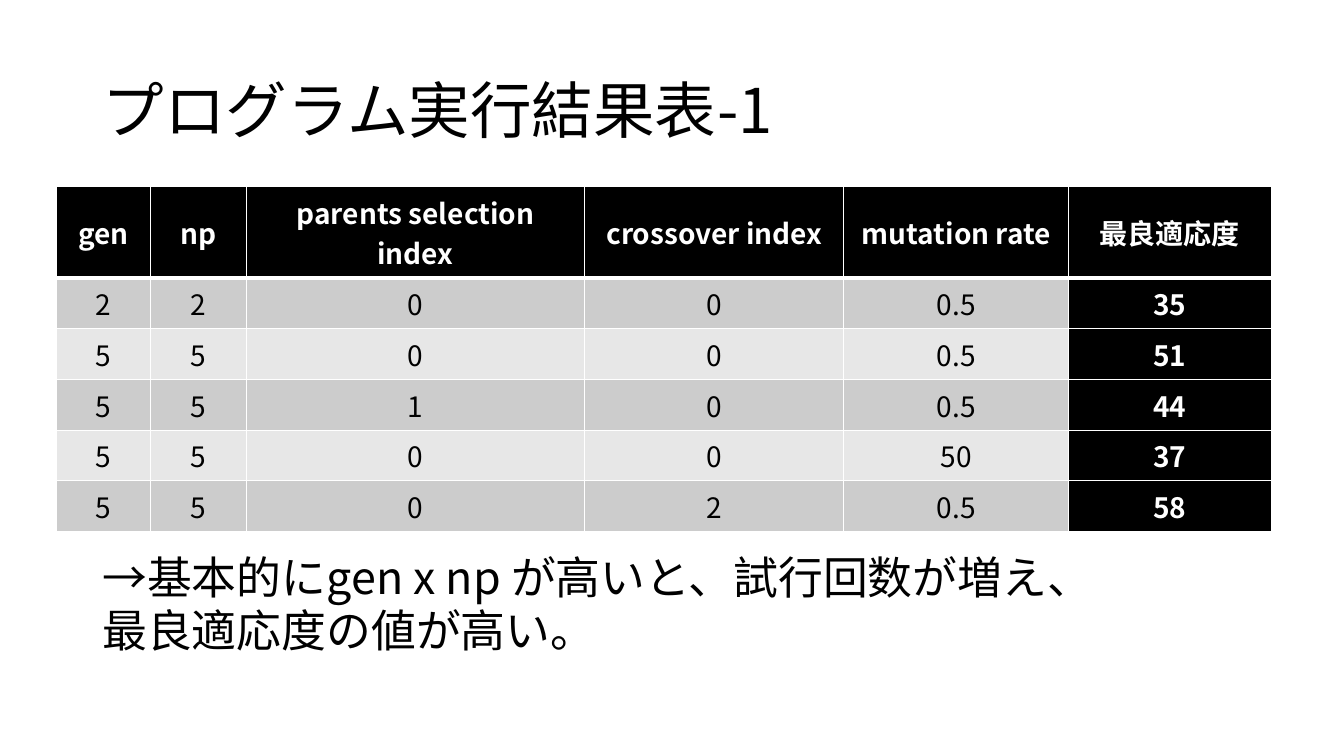
from lxml.etree import SubElement
from pptx import Presentation
from pptx.dml.color import RGBColor
from pptx.enum.text import MSO_ANCHOR, MSO_AUTO_SIZE, PP_ALIGN
from pptx.oxml.ns import qn
from pptx.util import Pt

# Content
TITLE = "プログラム実行結果表-1"
HEADER = ["gen", "np", "parents selection index", "crossover index",
          "mutation rate", "最良適応度"]
RESULTS = [
    ("2", "2", "0", "0", "0.5", "35"),
    ("5", "5", "0", "0", "0.5", "51"),
    ("5", "5", "1", "0", "0.5", "44"),
    ("5", "5", "0", "0", "50", "37"),
    ("5", "5", "0", "2", "0.5", "58"),
]
FINDING = "→基本的にgen x np が高いと、試行回数が増え、最良適応度の値が高い。"

# Style
FONT = "Noto Sans CJK JP"
COLORS = {"black": "000000", "white": "FFFFFF", "odd": "CCCCCC", "even": "E7E7E7"}
COL_WIDTHS = [66.96, 68.4, 241.92, 185.04, 160.56, 144.72]
HEAD_H, ROW_H = 51.84, 36


def rgb(name):
    return RGBColor.from_string(COLORS[name])


def add_run(p, text, size, color="black", bold=False):
    r = p.add_run()
    r.text = text
    r.font.size, r.font.bold = Pt(size), bold
    r.font.color.rgb = rgb(color)
    r.font.name = FONT
    SubElement(r.font._element, qn("a:ea"), typeface=FONT)


def add_borders(cell, top, bottom):
    tcPr = cell._tc.get_or_add_tcPr()
    for side, width in (("L", 1), ("R", 1), ("T", top), ("B", bottom)):
        ln = SubElement(tcPr, qn(f"a:ln{side}"), w=str(Pt(width)))
        fill = SubElement(ln, qn("a:solidFill"))
        SubElement(fill, qn("a:srgbClr"), val=COLORS["white"])


prs = Presentation()
prs.slide_width, prs.slide_height = Pt(960), Pt(540)
s = prs.slides.add_slide(prs.slide_layouts[5])

# Title
title = s.shapes.title
title.left, title.top, title.width, title.height = Pt(66), Pt(28.75), Pt(828), Pt(104.4)
tf = title.text_frame
tf.vertical_anchor = MSO_ANCHOR.MIDDLE
tf.auto_size = MSO_AUTO_SIZE.NONE
p = tf.paragraphs[0]
p.alignment, p.line_spacing = PP_ALIGN.LEFT, 0.9
add_run(p, TITLE, 44)

# Results table: header row and best-fitness column are black
rows = [HEADER, *RESULTS]
table = s.shapes.add_table(len(rows), len(HEADER), Pt(40.5), Pt(133.2),
                           Pt(sum(COL_WIDTHS)),
                           Pt(HEAD_H + ROW_H * len(RESULTS))).table
for col, width in zip(table.columns, COL_WIDTHS):
    col.width = Pt(width)
for i, values in enumerate(rows):
    table.rows[i].height = Pt(ROW_H if i else HEAD_H)
    for j, value in enumerate(values):
        cell = table.cell(i, j)
        strong = i == 0 or j == len(HEADER) - 1
        add_borders(cell, top=3 if i == 1 else 1, bottom=3 if i == 0 else 1)
        cell.fill.solid()
        cell.fill.fore_color.rgb = rgb("black" if strong else "odd" if i % 2 else "even")
        cell.vertical_anchor = MSO_ANCHOR.MIDDLE
        p = cell.text_frame.paragraphs[0]
        p.alignment = PP_ALIGN.CENTER
        add_run(p, value, 20, "white" if strong else "black", strong)

# Finding below the table
tf = s.shapes.add_textbox(Pt(66), Pt(388.8), Pt(733), Pt(84.96)).text_frame
tf.word_wrap = True
tf.auto_size = MSO_AUTO_SIZE.SHAPE_TO_FIT_TEXT
add_run(tf.paragraphs[0], FINDING, 32)

prs.save("out.pptx")
